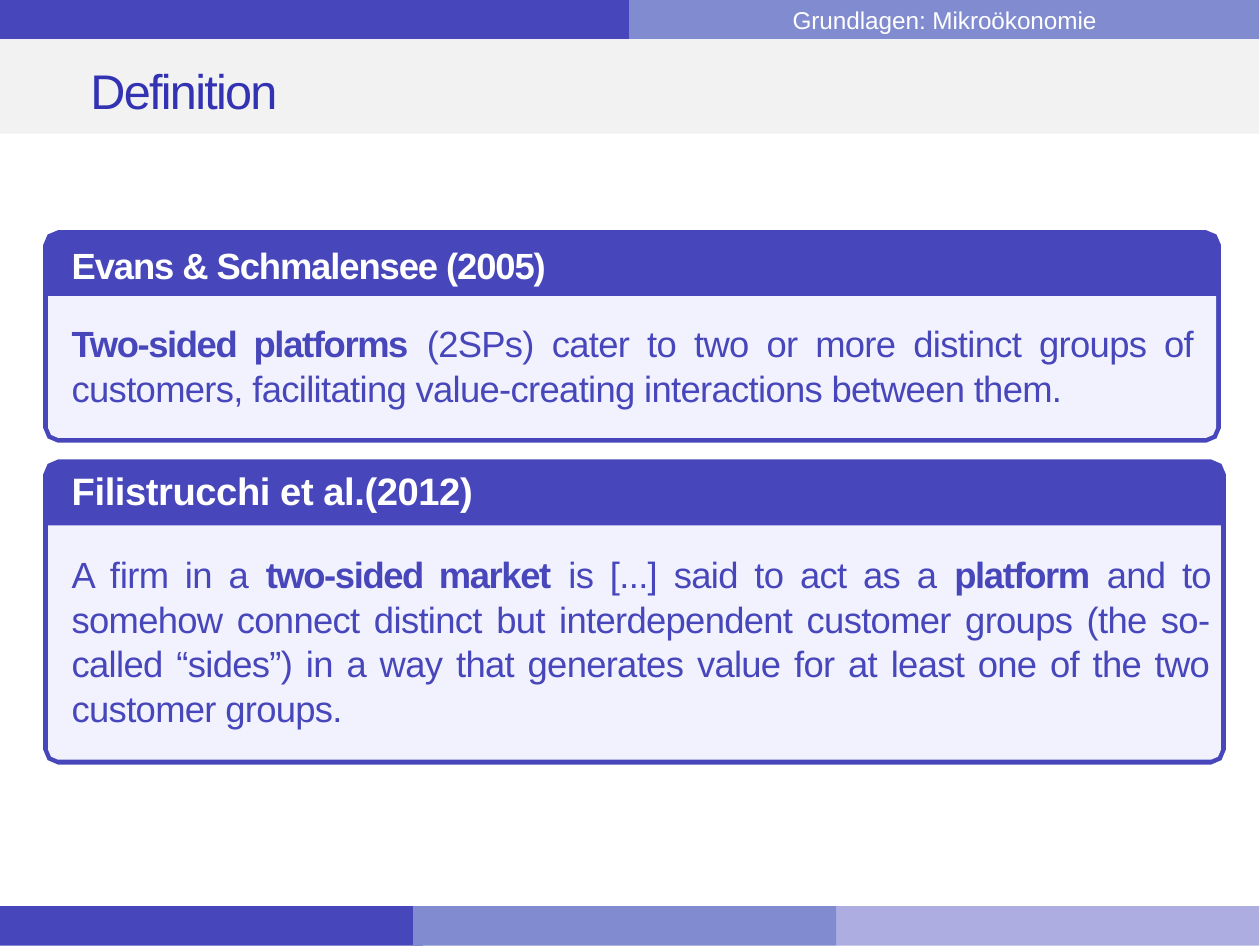
from pptx import Presentation
from pptx import util as u
from pptx.dml.color import RGBColor
from pptx.enum import shapes, text

SLIDE_WIDTH, SLIDE_HEIGHT = u.Pt(363), u.Pt(272.5)
INDIGO, PERIWINKLE, LAVENDER = "4747BB", "818BCF", "ADADE1"
GREY, PALE, WHITE, TITLE_BLUE = "F2F2F2", "F2F2FF", "FFFFFF", "3232B2"
FONT = "Arial"

TITLE = "Definition"
SECTION = "Grundlagen: Mikroökonomie"
BANDS = [
    (0, 0, 6.4, 0.4, INDIGO, ""),
    (6.4, 0, 6.4, 0.4, PERIWINKLE, SECTION),
    (0, 9.21, 4.3, 0.4, INDIGO, ""),
    (8.5, 9.21, 4.3, 0.4, LAVENDER, ""),
    (4.2, 9.21, 4.3, 0.4, PERIWINKLE, ""),
    (0, 0.4, 12.8, 0.96, GREY, ""),
]
BLOCKS = [
    {"top": 2.34, "width": 11.97, "height": 2.16, "right_inset": 0.22, "lift": 0.01,
     "heading": ("Evans & Schmalensee (2005)", 10.5, -0.27),
     "body": [("Two-sided platforms", True),
              (" (2SPs) cater to two or more distinct groups of customers, "
               "facilitating value-creating interactions between them.", False)]},
    {"top": 4.67, "width": 12.02, "height": 3.1, "right_inset": 0.1, "lift": 0.05,
     "heading": ("Filistrucchi et al.(2012)", 11, -0.13),
     "body": [("A ﬁrm in a ", False), ("two-sided market", True),
              (" is [...] said to act as a ", False), ("platform", True),
              (" and to somehow connect distinct but interdependent customer groups "
               "(the so-called “sides”) in a way that generates value for at least "
               "one of the two customer groups.", False)]},
]
BLOCK_LEFT, HEADER, BORDER, CORNER = 0.44, 0.67, 0.05, 0.15
BODY_SPACING, BOLD_SPACING = -0.18, -0.38


def paint(part, color):
    part.fill.solid()
    part.fill.fore_color.rgb = RGBColor.from_string(color)
    part.line.fill.background()
    part.shadow.inherit = False


def write(part, runs, size, color, align, insets=(0, 0, 0, 0)):
    frame = part.text_frame
    frame.word_wrap = True
    frame.vertical_anchor = text.MSO_ANCHOR.MIDDLE
    frame.margin_left, frame.margin_top, frame.margin_right, frame.margin_bottom = map(u.Cm, insets)
    paragraph = frame.paragraphs[0]
    paragraph.alignment = align
    for words, bold, spacing in runs:
        run = paragraph.add_run()
        run.text = words
        run.font.name, run.font.size, run.font.bold = FONT, u.Pt(size), bold
        run.font.color.rgb = RGBColor.from_string(color)
        run.font._element.set("spc", str(round(spacing * 100)))
    return paragraph


def rounded(slide, left, top, width, height, top_cut, bottom_cut, color):
    right, bottom = left + width, top + height
    points = []
    for x, y, dx, dy, cut in [(left, top, 1, 1, top_cut), (right, top, -1, 1, top_cut),
                              (right, bottom, -1, -1, bottom_cut), (left, bottom, 1, -1, bottom_cut)]:
        corner = [(x, y + dy * cut), (x + dx * cut * 0.3, y + dy * cut * 0.3), (x + dx * cut, y)]
        points += corner if dx == dy else corner[::-1]
    outline = [(u.Cm(x), u.Cm(y)) for x, y in points]
    builder = slide.shapes.build_freeform(*outline[0])
    builder.add_line_segments(outline[1:], close=True)
    part = builder.convert_to_shape()
    paint(part, color)
    return part


def add_block(slide, block):
    top, width, height, lift = block["top"], block["width"], block["height"], block["lift"]
    frame = rounded(slide, BLOCK_LEFT, top, width, height, CORNER, CORNER, INDIGO)
    heading, size, spacing = block["heading"]
    write(frame, [(heading, True, spacing)], size, WHITE, text.PP_ALIGN.LEFT,
          (0.29, 0.05 - lift, 0, height - HEADER + lift))
    panel = rounded(slide, BLOCK_LEFT + BORDER, top + HEADER, width - 2 * BORDER,
                    height - HEADER - BORDER, 0, 0.1, PALE)
    runs = [(words, bold, BOLD_SPACING if bold else BODY_SPACING) for words, bold in block["body"]]
    body = write(panel, runs, 10.5, INDIGO, text.PP_ALIGN.JUSTIFY,
                 (0.24, 0, block["right_inset"], 0.04))
    body.line_spacing = 1.02


def main():
    deck = Presentation()
    deck.slide_width, deck.slide_height = SLIDE_WIDTH, SLIDE_HEIGHT
    slide = deck.slides.add_slide(deck.slide_layouts[6])
    for left, top, width, height, color, label in BANDS:
        band = slide.shapes.add_shape(shapes.MSO_SHAPE.RECTANGLE,
                                      *map(u.Cm, (left, top, width, height)))
        paint(band, color)
        if label:
            write(band, [(label, False, 0)], 7, WHITE, text.PP_ALIGN.CENTER)
    title = slide.shapes.add_textbox(u.Cm(0.92), u.Cm(0.62), u.Cm(11.05), u.Cm(0.6))
    write(title, [(TITLE, False, -0.5)], 14, TITLE_BLUE, text.PP_ALIGN.LEFT)
    for block in BLOCKS:
        add_block(slide, block)
    deck.save("out.pptx")


if __name__ == "__main__":
    main()
